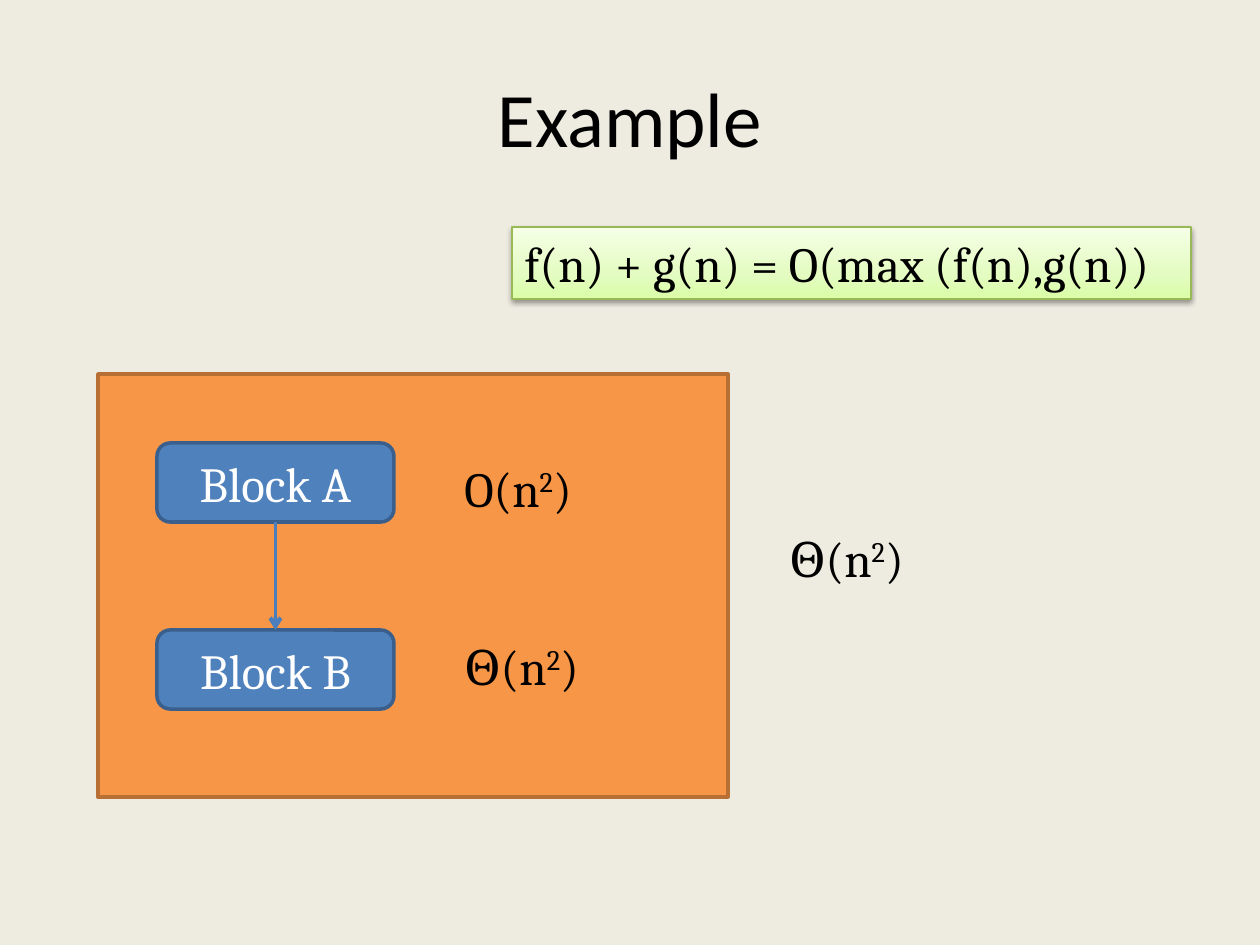
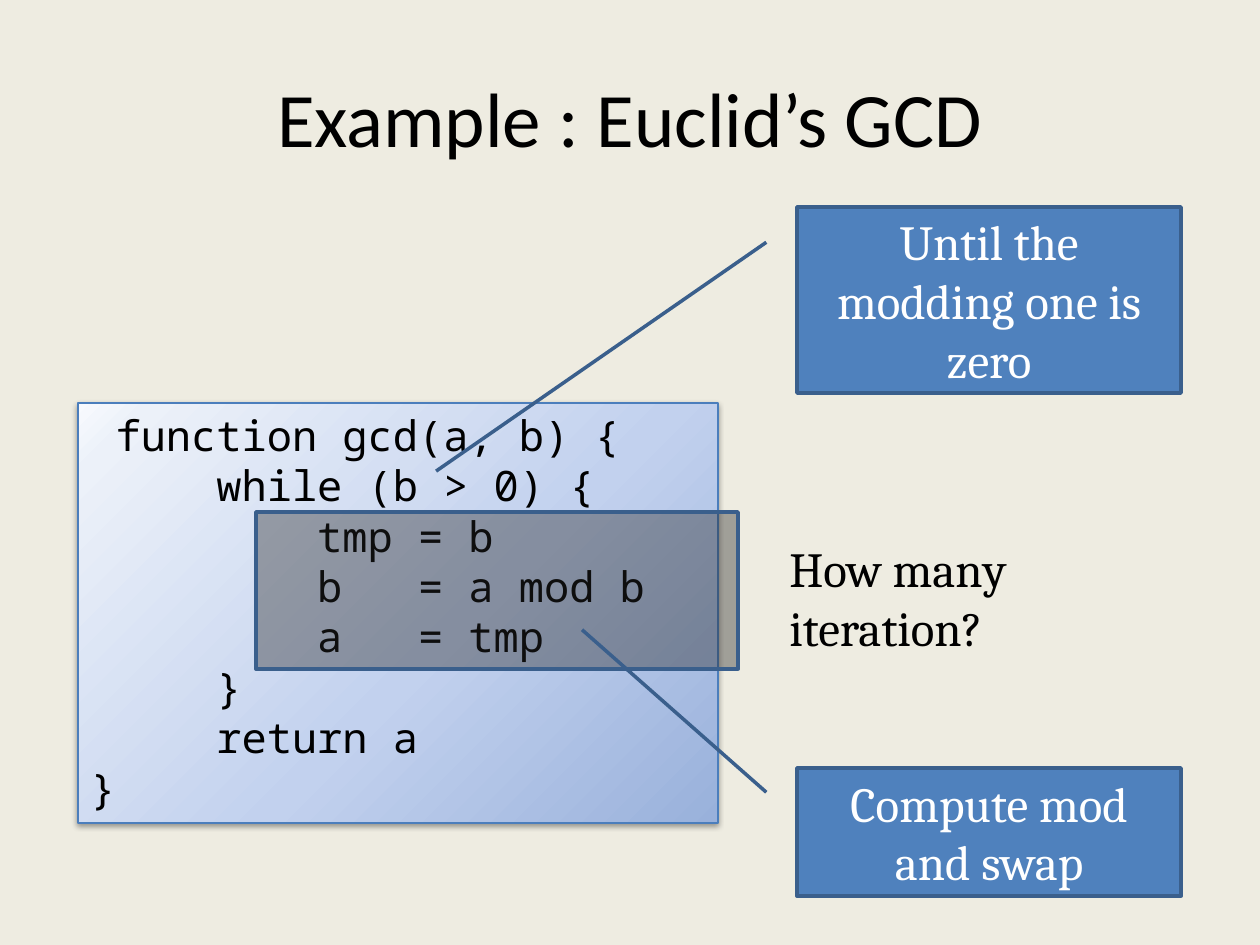
from lxml import etree
from pptx import Presentation, util as u
from pptx.dml.color import RGBColor
from pptx.enum import shapes, text
from pptx.oxml import ns

PX = 914400 / 126
COLORS = {"bg": "EEECE1", "black": "000000", "white": "FFFFFF", "blue": "4F81BD",
          "navy": "3A5F8C", "arrow": "4B7EBC", "orange": "F79646", "rust": "B76F34",
          "gray": "262626", "green": "98B955"}
RGB = {name: RGBColor.from_string(value) for name, value in COLORS.items()}
KIND = shapes.MSO_SHAPE
MIDDLE, TOP = text.MSO_ANCHOR.MIDDLE, text.MSO_ANCHOR.TOP
CENTER, LEFT = text.PP_ALIGN.CENTER, text.PP_ALIGN.LEFT


def add_box(s, box, words="", kind=None, fill=None, line=None, width=2,
            color="black", font="Cambria", size=28, center=False):
    box = [round(v * PX) for v in box]
    if kind is None:
        sp = s.shapes.add_textbox(*box)
    else:
        sp = s.shapes.add_shape(kind, *box)
        sp.shadow.inherit = False
        sp.line.color.rgb = RGB[line]
        sp.line.width = u.Pt(width)
        if fill:
            sp.fill.solid()
            sp.fill.fore_color.rgb = RGB[fill]
    tf = sp.text_frame
    tf.word_wrap = True
    tf.vertical_anchor = MIDDLE if center else TOP
    for i, row in enumerate(words.split("\n") if words else []):
        p = tf.add_paragraph() if i else tf.paragraphs[0]
        p.alignment = CENTER if center else LEFT
        p.font.name, p.font.size = font, u.Pt(size)
        p.font.color.rgb = RGB[color]
        for j, part in enumerate(row.split("^")):
            r = p.add_run()
            r.text = part
            if j % 2:
                r.font._element.set("baseline", "30000")
    return sp


def add_gradient(sp, stops, angle):
    sp.fill.gradient()
    sp.fill.gradient_angle = angle
    spPr = sp._element.spPr
    gs_list = spPr.find(ns.qn("a:gradFill")).find(ns.qn("a:gsLst"))
    for gs in list(gs_list):
        gs_list.remove(gs)
    for pos, color in stops:
        gs = etree.SubElement(gs_list, ns.qn("a:gs"), pos=str(pos * 1000))
        etree.SubElement(gs, ns.qn("a:srgbClr"), val=color)
    shadow = etree.SubElement(spPr.find(ns.qn("a:effectLst")), ns.qn("a:outerShdw"),
                              blurRad=str(u.Pt(3.1)), dist=str(u.Pt(1.6)),
                              dir="5400000", rotWithShape="0")
    clr = etree.SubElement(shadow, ns.qn("a:srgbClr"), val=COLORS["black"])
    etree.SubElement(clr, ns.qn("a:alpha"), val="38000")


prs = Presentation()
prs.slide_width, prs.slide_height = round(1260 * PX), round(945 * PX)
slides = []
for title in ("Example", "Example : Euclid’s GCD"):
    s = prs.slides.add_slide(prs.slide_layouts[6])
    s.background.fill.solid()
    s.background.fill.fore_color.rgb = RGB["bg"]
    if not slides:
        add_box(s, (98, 374, 630, 423), kind=KIND.RECTANGLE, fill="orange", line="rust")
    add_box(s, (63, 38, 1134, 157), title, font="Calibri", size=44, center=True)
    slides.append(s)

s = slides[0]
blocks = [add_box(s, (157, y, 237, 79), words, KIND.ROUNDED_RECTANGLE, "blue", "navy",
                  color="white", center=True)
          for y, words in ((443, "Block A"), (630, "Block B"))]

arrow = s.shapes.add_connector(shapes.MSO_CONNECTOR.STRAIGHT, 0, 0, 0, 0)
arrow.begin_connect(blocks[0], 2)
arrow.end_connect(blocks[1], 0)
arrow.line.color.rgb = RGB["arrow"]
arrow.line.width = u.Pt(2.25)
etree.SubElement(arrow.line._get_or_add_ln(), ns.qn("a:tailEnd"), type="arrow")
etree.SubElement(arrow._element.spPr, ns.qn("a:effectLst"))

for x, y, width, words in ((452, 452, 197, "O(n^2^)"), (452, 630, 197, "Θ(n^2^)"),
                           (777, 522, 433, "Θ(n^2^)")):
    add_box(s, (x, y, width, 72), words)

rule = add_box(s, (512, 227, 679, 72), "f(n) + g(n) = O(max (f(n),g(n))",
               KIND.RECTANGLE, line="green", width=0.75)
add_gradient(rule, [(0, "DAFDA7"), (35, "E4FCC2"), (100, "F5FFE7")], 90)

s = slides[1]
CODE = """ function gcd(a, b) {
     while (b > 0) {
         tmp = b
         b   = a mod b
         a   = tmp
     }
     return a
}"""
code = add_box(s, (78, 403, 640, 420), CODE, KIND.RECTANGLE, line="arrow", width=0.75,
               font="Noto Sans Mono", size=24)
add_gradient(code, [(0, "99B1DB"), (43, "C2D1EE"), (93, "ECF1F9"), (100, "F8FAFE")], 135)

loop_body = add_box(s, (256, 512, 482, 157), kind=KIND.RECTANGLE, fill="gray", line="navy")
clr = loop_body._element.spPr.find(ns.qn("a:solidFill"))[0]
etree.SubElement(clr, ns.qn("a:alpha"), val="39000")

add_box(s, (777, 532, 256, 131), "How many iteration?")

for y, height, words, tip in ((768, 128, "Compute mod and swap", (-1.08, -0.56)),
                              (207, 186, "Until the modding one is zero", (1.42, -0.94))):
    callout = add_box(s, (797, y, 384, height), words, KIND.LINE_CALLOUT_1, "blue", "navy",
                      color="white", center=True)
    for i, value in enumerate((0.19, -0.08) + tip):
        callout.adjustments[i] = value

prs.save("out.pptx")
